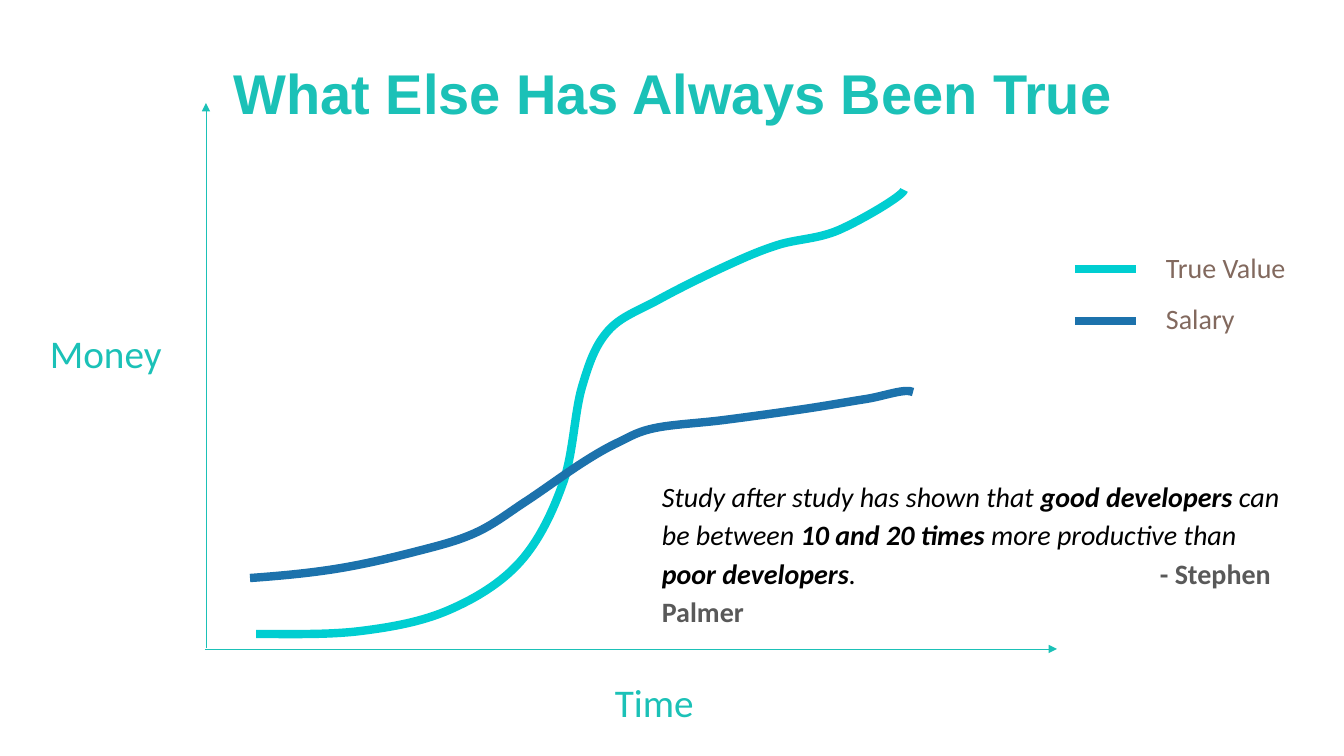
from pptx import Presentation
from pptx.dml.color import RGBColor
from pptx.enum.shapes import MSO_CONNECTOR
from pptx.enum.text import PP_ALIGN
from pptx.oxml.ns import qn
from pptx.util import Emu, Pt
from lxml import etree

LEFT, CENTER = PP_ALIGN.LEFT, PP_ALIGN.CENTER
STRAIGHT = MSO_CONNECTOR.STRAIGHT
SCALE = 914400 / 100.8
TEAL, CYAN, BLUE = "1BC1B7", "00CED1", "1C72AC"
BROWN, GRAY, BLACK = "82695E", "595959", "000000"

# The first and last points of each curve only steer its ends.
VALUE = [(143, 631), (256, 634), (361, 631), (449, 610), (520, 562),
         (563, 483), (582, 387), (608, 331), (658, 300), (726, 266),
         (778, 245), (839, 230), (904, 190), (845, 194)]
SALARY = [(165, 581), (250, 578), (335, 569), (414, 552), (475, 533),
          (525, 502), (582, 463), (619, 442), (655, 428), (724, 420),
          (804, 409), (866, 399), (913, 392), (914, 423)]
QUOTE = [("Study after study has shown that ", False),
         ("good developers ", True), ("can be between ", False),
         ("10 and 20 times ", True), ("more productive than ", False),
         ("poor developers", True), (".\t", False)]


def px(n):
    return Emu(round(n * SCALE))


def color(code):
    return RGBColor.from_string(code)


def handles(a, b, c, d):
    """Return the Bezier points from b to c, smooth through a and d."""
    first = [q + (r - p) / 6 for p, q, r in zip(a, b, c)]
    second = [r - (s - q) / 6 for q, r, s in zip(b, c, d)]
    return first, second, c


class Board:
    """Draws styled elements on one slide."""

    def __init__(self, slide, face):
        self.shapes = slide.shapes
        self.face = face

    def style(self, run, size, tint, bold=False, italic=False, face=None):
        font = run.font
        font.name = face or self.face
        font.size = Pt(size)
        font.bold, font.italic = bold, italic
        font.color.rgb = color(tint)

    def box(self, x, y, w, h, space):
        frame = self.shapes.add_textbox(px(x), px(y), px(w), px(h)).text_frame
        frame.word_wrap = True
        para = frame.paragraphs[0]
        para.line_spacing = space
        return para

    def label(self, text, x, y, w, h, size, tint, space=1.2, align=LEFT,
              bold=False, face=None):
        para = self.box(x, y, w, h, space)
        para.text = text
        para.alignment = align
        self.style(para.runs[0], size, tint, bold, face=face)

    def quote(self, parts, author, x, y, w, h, size, stop):
        para = self.box(x, y, w, h, 1.14)
        tabs = etree.SubElement(para._p.get_or_add_pPr(), qn("a:tabLst"))
        etree.SubElement(tabs, qn("a:tab"), pos=str(px(stop)), algn="l")
        for text, bold in parts:
            run = para.add_run()
            run.text = text
            self.style(run, size, BLACK, bold, italic=True)
        run = para.add_run()
        run.text = author
        self.style(run, size, GRAY, bold=True)

    def line(self, x1, y1, x2, y2, tint, width, arrow=False):
        link = self.shapes.add_connector(STRAIGHT, px(x1), px(y1),
                                         px(x2), px(y2))
        link.line.color.rgb = color(tint)
        link.line.width = Pt(width)
        if arrow:
            etree.SubElement(link.line._get_or_add_ln(), qn("a:tailEnd"),
                             type="triangle")
        etree.SubElement(link._element.spPr, qn("a:effectLst"))

    def curve(self, points, tint, width):
        knots = [(px(x), px(y)) for x, y in points]
        pen = self.shapes.build_freeform(*knots[1])
        pen.add_line_segments(knots[2:-1], close=False)
        shape = pen.convert_to_shape()
        sides = list(zip(knots, knots[1:], knots[2:], knots[3:]))
        for edge, side in zip(list(shape._element.iter(qn("a:lnTo"))), sides):
            bend = etree.Element(qn("a:cubicBezTo"))
            for x, y in handles(*side):
                etree.SubElement(bend, qn("a:pt"), x=str(round(x - shape.left)),
                                 y=str(round(y - shape.top)))
            edge.getparent().replace(edge, bend)
        shape.shadow.inherit = False
        shape.fill.background()
        shape.line.color.rgb = color(tint)
        shape.line.width = Pt(width)


def main():
    deck = Presentation()
    deck.slide_width, deck.slide_height = px(1344), px(756)
    board = Board(deck.slides.add_slide(deck.slide_layouts[6]), "Calibri")
    series = [("True Value", VALUE, CYAN), ("Salary", SALARY, BLUE)]
    for name, points, tint in series:
        board.curve(points, tint, 6)
    for row, (name, points, tint) in enumerate(series):
        y = 269 + 52 * row
        board.line(1075, y, 1136, y, tint, 6)
        board.label(name, 1156, 239 + 51 * row, 158, 50, 20, BROWN)
    board.label("What Else Has Always Been True", 214, 61, 917, 60, 40, TEAL,
                space=0.9, align=CENTER, bold=True, face="Arial")
    board.quote(QUOTE, "- Stephen Palmer", 652, 470, 649, 105, 20, 498)
    board.line(206, 648, 206, 103, TEAL, 0.5, arrow=True)
    board.line(205, 649, 1057, 649, TEAL, 0.5, arrow=True)
    board.label("Money", 40, 315, 173, 64, 28, TEAL)
    board.label("Time", 605, 664, 173, 64, 28, TEAL)
    deck.save("out.pptx")


if __name__ == "__main__":
    main()
